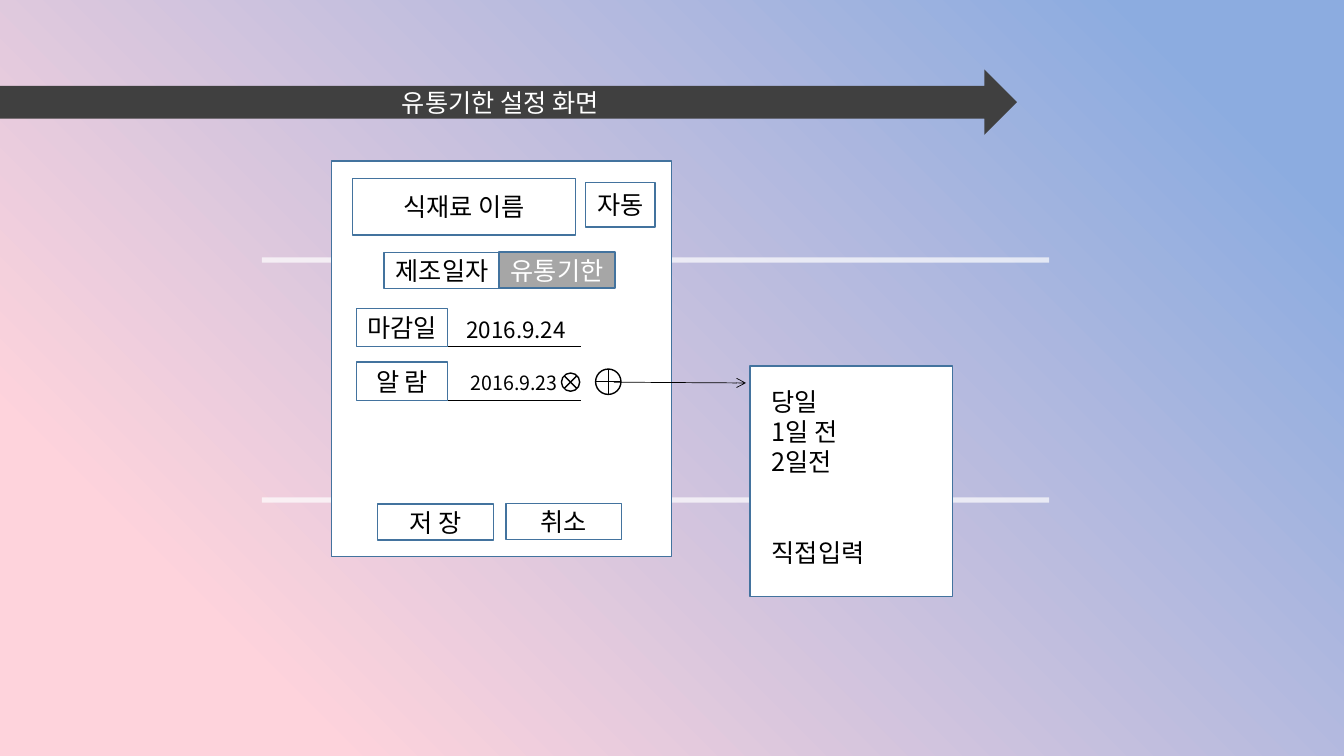
"""Build the expiry-date setting screen slide."""
from dataclasses import dataclass
from typing import Any, Optional

import pptx
import pptx.dml.color
import pptx.enum.dml
import pptx.enum.shapes
import pptx.enum.text
import pptx.oxml
import pptx.oxml.ns
import pptx.util

Cm = pptx.util.Cm
Pt = pptx.util.Pt
Kind = pptx.enum.shapes.MSO_SHAPE
Align = pptx.enum.text.PP_ALIGN
FONT = "Noto Sans CJK KR"
BLACK, WHITE, BLUE = "000000", "FFFFFF", "43739E"


@dataclass
class Block:
    left: float
    top: float
    width: float
    height: float
    text: str = ""
    fill: Optional[str] = WHITE
    line: Optional[str] = BLUE
    ink: str = BLACK
    kind: Any = Kind.RECTANGLE


@dataclass
class Stroke:
    x1: float
    y1: float
    x2: float
    y2: float
    color: str = BLACK
    width: float = 0.5
    opacity: int = 100
    arrow: bool = False


@dataclass
class Note:
    left: float
    top: float
    width: float
    height: float
    lines: list[str]
    size: int
    last_gap: float = 0


ROW_TOP, ROW_STEP, ROW_HEIGHT = 7.77, 1.35, 0.97
TAB_WIDTH, TAB_HEIGHT = 2.92, 0.91

GUIDES = [Stroke(6.6, y, 26.44, y, WHITE, 3.75, 70) for y in (6.55, 12.6)]
BLOCKS = [
    Block(0, 1.75, 25.63, 1.65, "유통기한 설정 화면", "404040", None, WHITE, Kind.RIGHT_ARROW),
    Block(8.36, 4.06, 8.56, 9.96),
    Block(8.89, 4.5, 5.61, 1.42, "식재료 이름"),
    Block(14.76, 4.6, 1.75, 1.12, "자동"),
    Block(9.68, 6.36, TAB_WIDTH, TAB_HEIGHT, "제조일자"),
    Block(12.58, 6.35, TAB_WIDTH, TAB_HEIGHT, "유통기한", "A6A6A6", BLUE, WHITE),
    *[Block(8.99, ROW_TOP + row * ROW_STEP, 2.29, ROW_HEIGHT, label)
      for row, label in enumerate(("마감일", "알 람"))],
    Block(15.01, 9.3, 0.64, 0.64, fill=None, line=BLACK, kind=Kind.FLOWCHART_OR),
    Block(14.15, 9.4, 0.46, 0.46, fill=None, line=BLACK,
          kind=Kind.FLOWCHART_SUMMING_JUNCTION),
    Block(9.52, 12.7, TAB_WIDTH, TAB_HEIGHT, "저 장"),
    Block(12.75, 12.69, TAB_WIDTH, TAB_HEIGHT, "취소"),
    Block(18.9, 9.22, 5.11, 5.82),
]
STROKES = [
    *[Stroke(11.3, y, 14.63, y)
      for y in (ROW_TOP + row * ROW_STEP + ROW_HEIGHT for row in range(2))],
    Stroke(15.47, 9.63, 18.8, 9.65, arrow=True),
]
NOTES = [
    Note(11.51, 7.85, 3.35, 0.94, ["2016.9.24"], 16),
    Note(11.61, 9.22, 3.35, 0.86, ["2016.9.23"], 14),
    Note(19.2, 9.6, 3.96, 4.88, ["당일", "1일 전", "2일전", "직접입력"], 18, 43.5),
]


def rgb(color: str) -> pptx.dml.color.RGBColor:
    return pptx.dml.color.RGBColor.from_string(color)


def child(parent: Any, tag: str, **attributes: str) -> Any:
    element = pptx.oxml.parse_xml(f"<a:{tag} {pptx.oxml.ns.nsdecls('a')}/>")
    for name, value in attributes.items():
        element.set(name, value)
    parent.append(element)
    return element


def style_para(para: Any, size: int, color: str, align: Any) -> None:
    para.alignment = align
    para.font.size = Pt(size)
    para.font.color.rgb = rgb(color)
    para.font.name = FONT
    properties = para._p.get_or_add_pPr().find(pptx.oxml.ns.qn("a:defRPr"))
    child(properties, "ea", typeface=FONT)


def draw_block(page: Any, block: Block) -> None:
    shape = page.shapes.add_shape(
        block.kind, Cm(block.left), Cm(block.top), Cm(block.width), Cm(block.height))
    shape.shadow.inherit = False
    if block.fill:
        shape.fill.solid()
        shape.fill.fore_color.rgb = rgb(block.fill)
    else:
        shape.fill.background()
    if block.line:
        shape.line.color.rgb = rgb(block.line)
        shape.line.width = Pt(1)
    else:
        shape.line.fill.background()
    if block.text:
        frame = shape.text_frame
        frame.margin_left = frame.margin_right = Cm(0)
        frame.margin_top = frame.margin_bottom = Cm(0)
        frame.vertical_anchor = pptx.enum.text.MSO_ANCHOR.MIDDLE
        frame.text = block.text
        style_para(frame.paragraphs[0], 18, block.ink, Align.CENTER)


def draw_stroke(page: Any, stroke: Stroke) -> None:
    connector = page.shapes.add_connector(
        pptx.enum.shapes.MSO_CONNECTOR.STRAIGHT,
        Cm(stroke.x1), Cm(stroke.y1), Cm(stroke.x2), Cm(stroke.y2))
    connector.line.color.rgb = rgb(stroke.color)
    connector.line.width = Pt(stroke.width)
    outline = connector.line._get_or_add_ln()
    if stroke.opacity < 100:
        paint = outline.find(".//" + pptx.oxml.ns.qn("a:srgbClr"))
        child(paint, "alpha", val=str(stroke.opacity * 1000))
    if stroke.arrow:
        child(outline, "tailEnd", type="arrow")
    child(connector._element.spPr, "effectLst")


def draw_note(page: Any, note: Note) -> None:
    box = page.shapes.add_textbox(
        Cm(note.left), Cm(note.top), Cm(note.width), Cm(note.height))
    frame = box.text_frame
    frame.word_wrap = True
    frame.text = "\n".join(note.lines)
    for para in frame.paragraphs:
        style_para(para, note.size, BLACK, Align.LEFT)
    if note.last_gap:
        frame.paragraphs[-1].space_before = Pt(note.last_gap)


def paint_background(page: Any) -> None:
    fill = page.background.fill
    fill.gradient()
    fill.gradient_angle = 225
    for stop, (position, color) in zip(
            fill.gradient_stops, ((0.1, "8CACE0"), (0.84, "FED3DC"))):
        stop.position = position
        stop.color.rgb = rgb(color)


def main() -> None:
    deck = pptx.Presentation()
    deck.slide_width, deck.slide_height = Cm(33.87), Cm(19.05)
    page = deck.slides.add_slide(deck.slide_layouts[6])
    paint_background(page)
    for guide in GUIDES:
        draw_stroke(page, guide)
    for block in BLOCKS:
        draw_block(page, block)
    for stroke in STROKES:
        draw_stroke(page, stroke)
    for note in NOTES:
        draw_note(page, note)
    deck.save("out.pptx")


if __name__ == "__main__":
    main()
